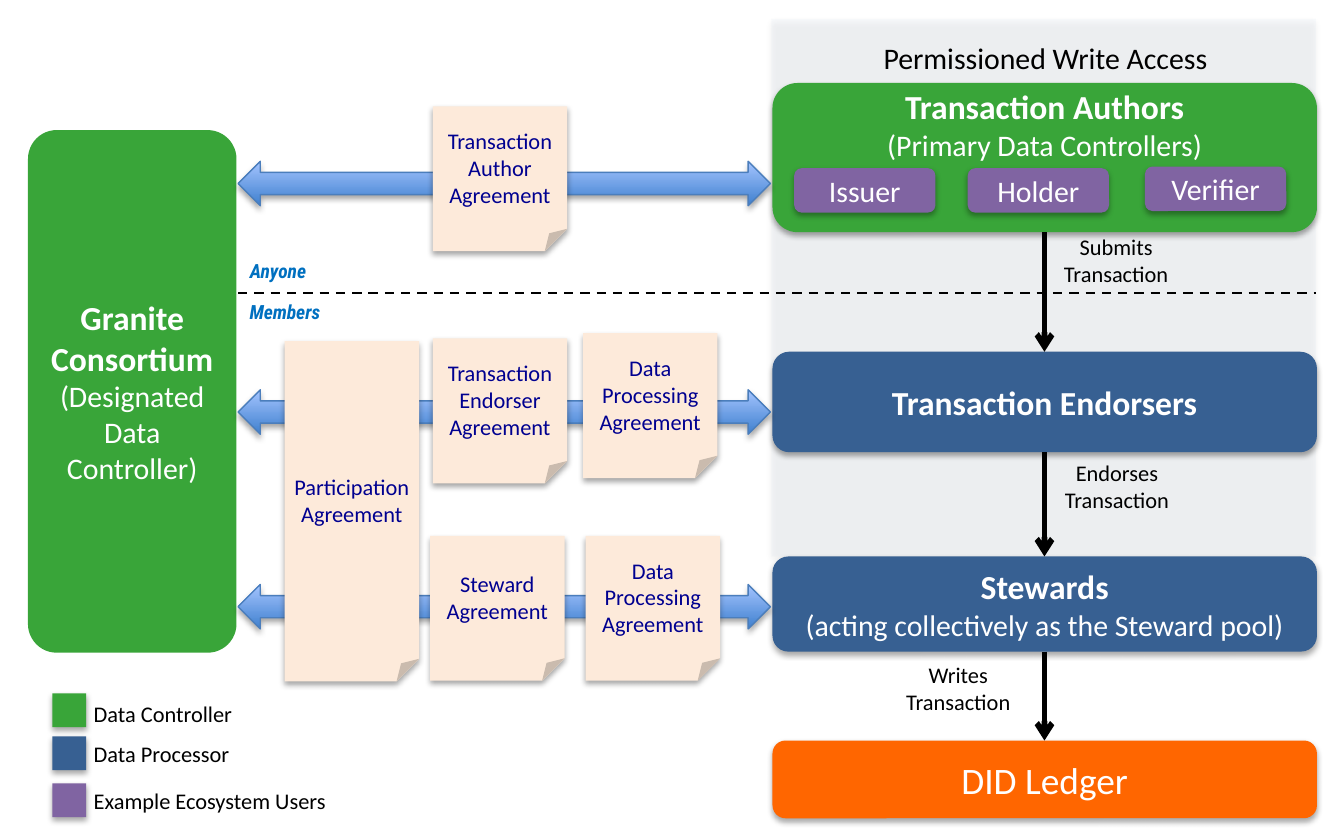
from dataclasses import dataclass
from typing import Any, Optional

import pptx
import pptx.dml.color
import pptx.enum.dml
import pptx.enum.shapes
import pptx.enum.text
import pptx.oxml
import pptx.oxml.ns
import pptx.util

Cm = pptx.util.Cm
Pt = pptx.util.Pt
qn = pptx.oxml.ns.qn
MSO = pptx.enum.shapes.MSO_SHAPE
ANCHOR = pptx.enum.text.MSO_ANCHOR
ALIGN = pptx.enum.text.PP_ALIGN

GREEN, BLUE, PURPLE, ORANGE = "39A539", "376092", "8064A2", "FF6600"
WHITE, BLACK, NAVY, SKY, PEACH = "FFFFFF", "000000", "000090", "0070C0", "FDEADA"
COL_X, COL_W, FLOW_X = 14.6, 10.29, 19.74
LINK_X, LINK_W = 4.5, 10.06


@dataclass
class Line:
    text: str
    size: float
    color: str = WHITE
    bold: bool = False
    italic: bool = False
    font: str = "Calibri"


@dataclass
class Box:
    x: float
    y: float
    w: float
    h: float
    fill: str
    lines: tuple[Line, ...] = ()
    kind: Any = MSO.ROUNDED_RECTANGLE
    shadow: bool = True
    adj: Optional[float] = None
    frame: Optional[dict[str, Any]] = None


@dataclass
class Label:
    x: float
    y: float
    w: float
    h: float
    line: Line
    align: Any = ALIGN.CENTER


def rgb(color: str) -> pptx.dml.color.RGBColor:
    return pptx.dml.color.RGBColor.from_string(color)


def set_all(obj: Any, values: dict[str, Any]) -> None:
    for name, value in values.items():
        setattr(obj, name, value)


def add_xml(parent: Any, xml: str) -> None:
    ns = pptx.oxml.ns.nsdecls("a")
    parent.append(pptx.oxml.parse_xml(xml.replace("@", ns, 1)))


def write(tf: Any, lines: tuple[Line, ...], align: Any, frame: dict[str, Any]) -> None:
    set_all(tf, {"word_wrap": True, **frame})
    for i, line in enumerate(lines):
        p = tf.paragraphs[0] if i == 0 else tf.add_paragraph()
        p.alignment = align
        r = p.add_run()
        r.text = line.text
        set_all(r.font, {"size": Pt(line.size), "name": line.font,
                         "bold": line.bold, "italic": line.italic})
        r.font.color.rgb = rgb(line.color)


def add_shadow(sp: Any) -> None:
    sp.shadow.inherit = False
    add_xml(sp.element.spPr.find(qn("a:effectLst")),
            '<a:outerShdw @ blurRad="40000" dist="23000" dir="5400000" rotWithShape="0">'
            '<a:srgbClr val="000000"><a:alpha val="35000"/></a:srgbClr></a:outerShdw>')


def add_box(s: Any, box: Box) -> Any:
    sp = s.shapes.add_shape(box.kind, Cm(box.x), Cm(box.y), Cm(box.w), Cm(box.h))
    sp.fill.solid()
    sp.fill.fore_color.rgb = rgb(box.fill)
    sp.line.fill.background()
    sp.shadow.inherit = False
    if box.shadow:
        add_shadow(sp)
    if box.adj is not None:
        sp.adjustments[0] = box.adj
    write(sp.text_frame, box.lines, ALIGN.CENTER,
          {"vertical_anchor": ANCHOR.MIDDLE, **(box.frame or {})})
    return sp


def add_label(s: Any, label: Label) -> None:
    sp = s.shapes.add_textbox(Cm(label.x), Cm(label.y), Cm(label.w), Cm(label.h))
    write(sp.text_frame, (label.line,), label.align,
          {"auto_size": pptx.enum.text.MSO_AUTO_SIZE.SHAPE_TO_FIT_TEXT})


def add_line(s: Any, x1: float, y1: float, x2: float, y2: float, width: float,
             dashed: bool = False, arrow: bool = False) -> None:
    c = s.shapes.add_connector(pptx.enum.shapes.MSO_CONNECTOR.STRAIGHT,
                               Cm(x1), Cm(y1), Cm(x2), Cm(y2))
    c.line.width = Pt(width)
    c.line.color.rgb = rgb(BLACK)
    if dashed:
        c.line.dash_style = pptx.enum.dml.MSO_LINE.DASH
    spPr = c.element.spPr
    if arrow:
        add_xml(spPr.find(qn("a:ln")), '<a:tailEnd @ type="arrow"/>')
    add_xml(spPr, "<a:effectLst @/>")


def add_link(s: Any, y: float) -> None:
    sp = s.shapes.add_shape(MSO.LEFT_RIGHT_ARROW, Cm(LINK_X), Cm(y), Cm(LINK_W), Cm(0.84))
    sp.fill.gradient()
    sp.fill.gradient_angle = 90
    for stop, (pos, color) in zip(sp.fill.gradient_stops, ((0, "3F80CE"), (1, "A4C4FF"))):
        stop.position = pos
        stop.color.rgb = rgb(color)
    sp.line.color.rgb = rgb("4B7EBC")
    sp.line.width = Pt(0.75)
    add_shadow(sp)


def note(x: float, y: float, text: str, h: float = 2.74) -> Box:
    return Box(x, y, 2.54, h, PEACH, (Line(text, 12, NAVY),), MSO.FOLDED_CORNER,
               frame={"margin_left": 0, "margin_right": 0})


def chip(x: float, y: float, text: str) -> Box:
    return Box(x, y, 2.67, 0.84, PURPLE, (Line(text, 16),))


def stage(y: float, h: float, fill: str, *lines: Line, **extra: Any) -> Box:
    return Box(COL_X, y, COL_W, h, fill, lines, **extra)


STAGES = [
    stage(1.57, 2.82, GREEN, Line("Transaction Authors", 18, bold=True),
          Line("(Primary Data Controllers)", 16),
          frame={"margin_top": 0, "margin_bottom": Cm(1.27)}),
    stage(6.65, 1.9, BLUE, Line("Transaction Endorsers", 18, bold=True)),
    stage(10.52, 1.8, BLUE, Line("Stewards", 18, bold=True),
          Line("(acting collectively as the Steward pool)", 16)),
    stage(14, 1.47, ORANGE, Line("DID Ledger", 20)),
]
CONTROLLER = Box(0.53, 2.46, 3.94, 9.88, GREEN,
                 (Line("Granite Consortium", 18, bold=True),
                  Line("(Designated Data Controller)", 16)), shadow=False, adj=0.138)
CHIPS = [chip(15.01, 3.18, "Issuer"), chip(18.29, 3.18, "Holder"),
         chip(21.64, 3.15, "Verifier")]
NOTES = [
    note(8.18, 2.01, "Transaction Author Agreement"),
    note(11.02, 6.3, "Data Processing Agreement"),
    note(11.07, 10.13, "Data Processing Agreement"),
    note(8.13, 10.13, "Steward Agreement"),
    note(5.38, 6.45, "Participation Agreement", 6.43),
    note(8.18, 6.4, "Transaction Endorser Agreement"),
]
ZONE = {"size": 10.5, "color": SKY, "bold": True, "italic": True, "font": "Roboto Condensed"}
LABELS = [
    Label(14.63, 0.63, 10.26, 0.94, Line("Permissioned Write Access", 16, BLACK)),
    Label(19.28, 4.29, 3.63, 1.27, Line("Submits Transaction", 12, BLACK)),
    Label(19.84, 8.56, 2.54, 1.27, Line("Endorses Transaction", 12, BLACK)),
    Label(16.84, 12.37, 2.54, 1.27, Line("Writes Transaction", 12, BLACK)),
    Label(3.12, 4.78, 4.27, 0.71, Line("Anyone", **ZONE)),
    Label(3.25, 5.54, 4.27, 0.71, Line("Members", **ZONE)),
]
LEGEND = [
    (13.11, 13.11, 3.35, GREEN, "Data Controller"),
    (13.92, 13.87, 3.35, BLUE, "Data Processor"),
    (14.81, 14.76, 6.53, PURPLE, "Example Ecosystem Users"),
]

prs = pptx.Presentation()
set_all(prs, {"slide_width": Cm(25.4), "slide_height": Cm(15.88)})
s = prs.slides.add_slide(prs.slide_layouts[6])

panel = add_box(s, Box(14.58, 0.36, COL_W, 10.16, "DCE6F2", kind=MSO.RECTANGLE))
add_xml(panel.element.spPr.find(qn("a:solidFill"))[0], '<a:alpha @ val="17000"/>')

for box in [*STAGES, CONTROLLER, *CHIPS]:
    add_box(s, box)
for upper, lower in zip(STAGES, STAGES[1:]):
    add_line(s, FLOW_X, upper.y + upper.h, FLOW_X, lower.y, 3, arrow=True)
for y in (3.05, 7.37, 11.05):
    add_link(s, y)
for box in NOTES:
    add_box(s, box)
for swatch_y, text_y, w, color, text in LEGEND:
    add_box(s, Box(0.99, swatch_y, 0.64, 0.64, color, kind=MSO.RECTANGLE))
    add_label(s, Label(1.52, text_y, w, 0.76, Line(text, 12, BLACK), ALIGN.LEFT))
add_line(s, LINK_X, 5.54, 24.87, 5.54, 1.25, dashed=True)
for label in LABELS:
    add_label(s, label)

prs.save("out.pptx")
